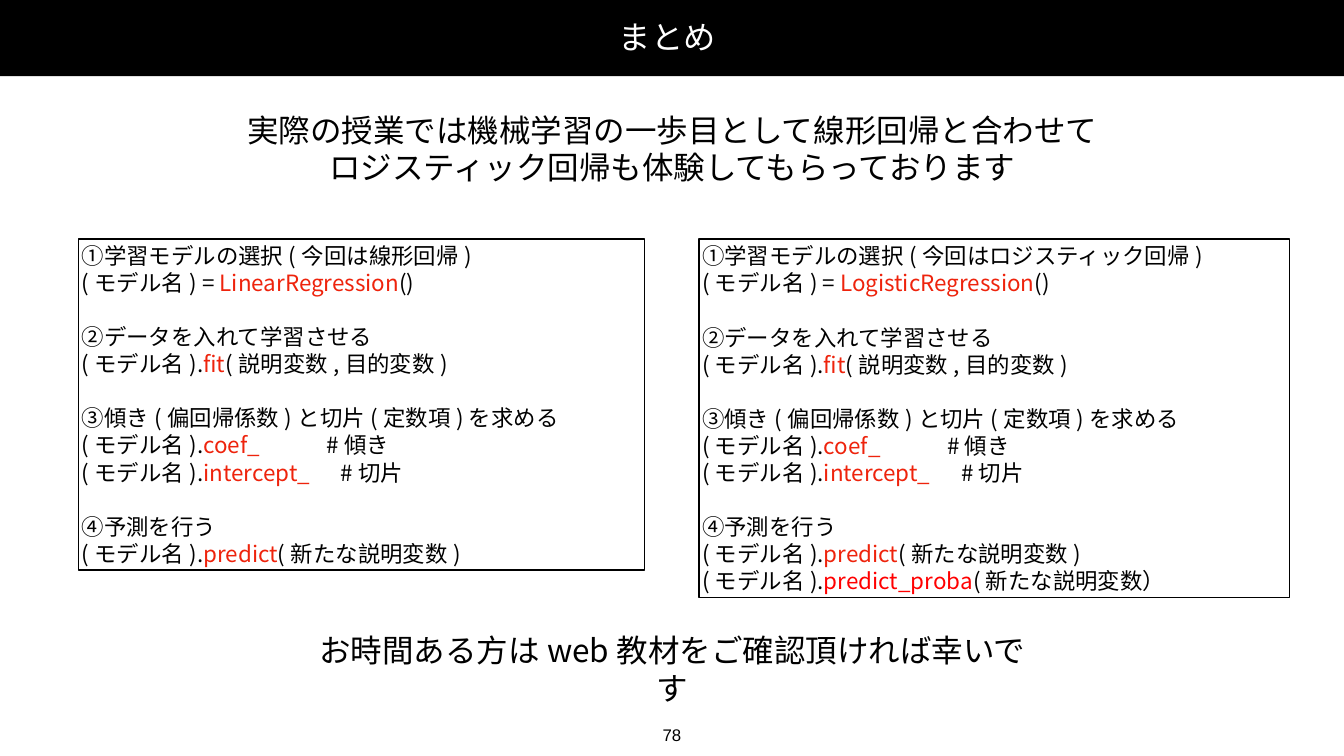
from pptx import Presentation
from pptx.dml.color import RGBColor
from pptx.enum.shapes import MSO_SHAPE
from pptx.enum.text import MSO_ANCHOR, PP_ALIGN
from pptx.oxml.ns import qn
from pptx.util import Pt
from lxml import etree

# Content: a line is a list of (text, colour) runs
BLACK, WHITE, RED, PURE_RED = "000000", "FFFFFF", "EE230C", "FF0000"
FONT = "Noto Sans CJK JP"
MODEL = "(モデル名)"


def call(name, rest, colour=RED, joint="."):
    return [(MODEL + joint, BLACK), (name, colour), (rest, BLACK)]


def model_steps(method, class_name, extra=()):
    return [
        [[(f"①学習モデルの選択(今回は{method})", BLACK)],
         call(class_name, "()", joint=" = ")],
        [[("②データを入れて学習させる", BLACK)],
         call("fit", "(説明変数,目的変数)")],
        [[("③傾き(偏回帰係数)と切片(定数項)を求める", BLACK)],
         call("coef_", "\t#傾き"),
         call("intercept_", "\t#切片")],
        [[("④予測を行う", BLACK)],
         call("predict", "(新たな説明変数)"), *extra],
    ]


PROBABILITY = call("predict_proba", "(新たな説明変数）", PURE_RED)
PANELS = [  # left, width, height, steps
    (112.3, 808.6, 473, model_steps("線形回帰", "LinearRegression")),
    (998.6, 843.8, 512, model_steps("ロジスティック回帰", "LogisticRegression", [PROBABILITY])),
]
PANEL_TOP, PANEL_SIZE, LINE_PITCH = 341.3, 32, 38.6
COMMENT_TABS = {"coef_": 350, "intercept_": 370}

LABELS = [  # box, lines, size, font, colour, alignment, anchor, wrap, line pitch
    ((879.8, 25.9, 146.9, 54), ["まとめ"],
     46, FONT, WHITE, PP_ALIGN.LEFT, MSO_ANCHOR.MIDDLE, False, 55),
    ((342.7, 153.4, 1234.8, 117.4),
     ["実際の授業では機械学習の一歩目として線形回帰と合わせて",
      "ロジスティック回帰も体験してもらっております"],
     45, FONT, BLACK, PP_ALIGN.CENTER, MSO_ANCHOR.MIDDLE, False, 54),
    ((441.4, 923.8, 1037.5, 62.6), ["お時間ある方はweb教材をご確認頂ければ幸いです"],
     45, FONT, BLACK, PP_ALIGN.CENTER, MSO_ANCHOR.MIDDLE, True, 54),
    ((941.8, 1030.3, 36, 36), ["78"],
     24, "Arial", BLACK, PP_ALIGN.CENTER, MSO_ANCHOR.TOP, False, None),
]


def rgb(value):
    return RGBColor.from_string(value)


def apply(target, values):
    for name, value in values.items():
        setattr(target, name, value)


def set_frame(frame, anchor, wrap):
    margins = {f"margin_{side}": Pt(4.3) for side in ("left", "top", "right", "bottom")}
    apply(frame, {**margins, "vertical_anchor": anchor, "word_wrap": wrap})


def add_line(frame, index, runs, size, font, values):
    paragraph = frame.paragraphs[0] if index == 0 else frame.add_paragraph()
    apply(paragraph, values)
    for text, colour in runs:
        run = paragraph.add_run()
        run.text = text
        apply(run.font, {"size": Pt(size), "name": font})
        run.font.color.rgb = rgb(colour)
        # East Asian typeface
        etree.SubElement(run.font._element, qn("a:ea"), typeface=font)
    return paragraph


def add_tab_stop(paragraph, position):
    tabs = etree.SubElement(paragraph._p.get_or_add_pPr(), qn("a:tabLst"))
    etree.SubElement(tabs, qn("a:tab"), pos=str(int(Pt(position))), algn="l")


def add_rectangle(slide, box):
    shape = slide.shapes.add_shape(MSO_SHAPE.RECTANGLE, *map(Pt, box))
    shape.shadow.inherit = False
    return shape


def add_panel(slide, left, width, height, steps):
    panel = add_rectangle(slide, (left, PANEL_TOP, width, height))
    panel.fill.background()
    panel.line.color.rgb = rgb(BLACK)
    panel.line.width = Pt(2)
    frame = panel.text_frame
    set_frame(frame, MSO_ANCHOR.MIDDLE, True)
    index = 0
    for step in steps:
        for row, runs in enumerate(step):
            # One line of space separates the steps
            gap = LINE_PITCH if row == 0 and index else 0
            values = {"alignment": PP_ALIGN.LEFT, "line_spacing": Pt(LINE_PITCH),
                      "space_before": Pt(gap)}
            paragraph = add_line(frame, index, runs, PANEL_SIZE, FONT, values)
            for text, _ in runs:
                if text in COMMENT_TABS:
                    add_tab_stop(paragraph, COMMENT_TABS[text])
            index += 1


def main():
    presentation = Presentation()
    apply(presentation, {"slide_width": Pt(1920), "slide_height": Pt(1080)})
    slide = presentation.slides.add_slide(presentation.slide_layouts[6])

    # Title band
    band = add_rectangle(slide, (0, -2.9, 1920, 111.6))
    band.fill.solid()
    band.fill.fore_color.rgb = rgb(BLACK)
    band.line.fill.background()

    # Title, messages and page number
    for box, lines, size, font, colour, alignment, anchor, wrap, pitch in LABELS:
        frame = slide.shapes.add_textbox(*map(Pt, box)).text_frame
        set_frame(frame, anchor, wrap)
        values = {"alignment": alignment, "line_spacing": Pt(pitch) if pitch else None}
        for index, text in enumerate(lines):
            add_line(frame, index, [(text, colour)], size, font, values)

    # Code panels
    for panel in PANELS:
        add_panel(slide, *panel)

    presentation.save("out.pptx")


if __name__ == "__main__":
    main()
